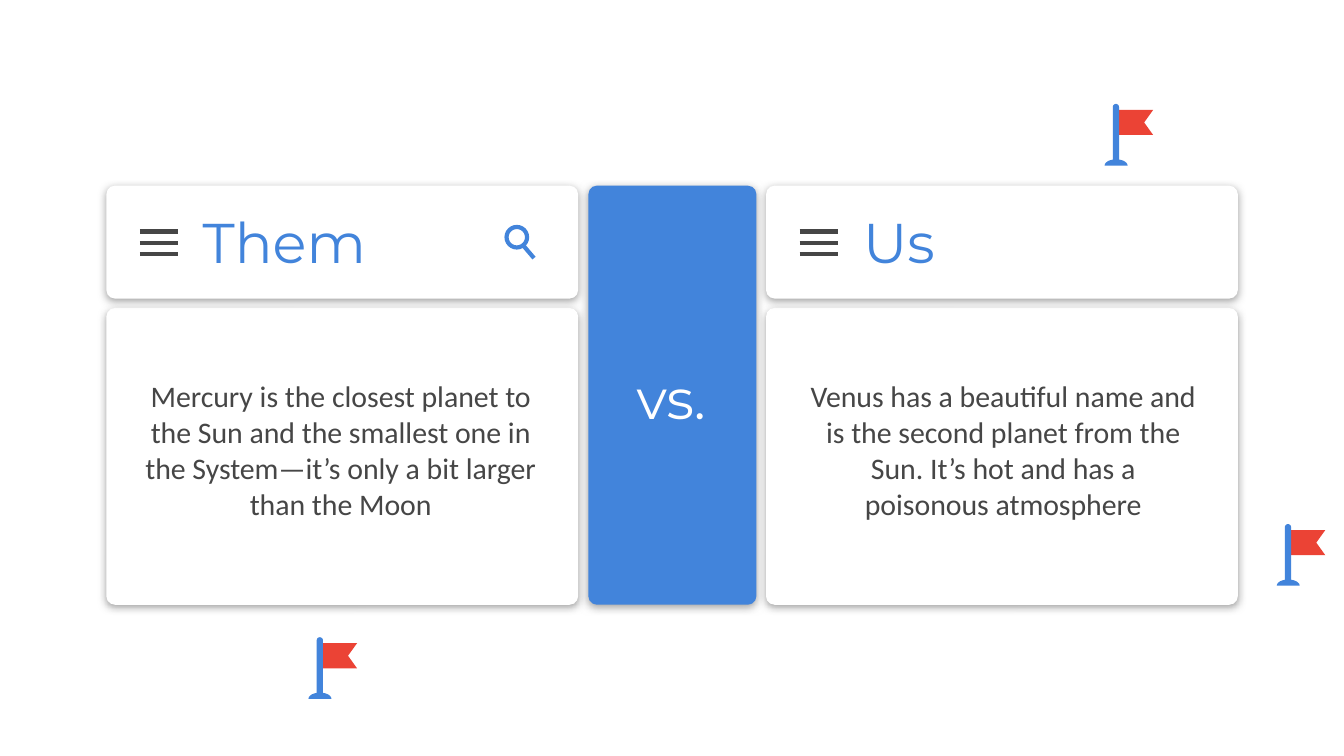
from math import cos, pi, sin

from lxml import etree
from pptx import Presentation
from pptx.dml.color import RGBColor
from pptx.enum.shapes import MSO_CONNECTOR as CONN, MSO_SHAPE as SHAPE
from pptx.enum.text import MSO_ANCHOR as ANCHOR, PP_ALIGN as ALIGN
from pptx.oxml import parse_xml
from pptx.oxml.ns import nsdecls, qn
from pptx.util import Pt

BLUE, RED, DARK, WHITE = "4284DB", "EB4335", "464646", "FFFFFF"
HEAD, BODY = "Montserrat", "Calibri"


def color(value):
    return RGBColor.from_string(value)


def dome(left, right, top, height):
    mid, half = (left + right) / 2, (right - left) / 2
    angles = [pi - pi * i / 12 for i in range(13)]
    return [(mid + half * cos(a), top + height * (1 - sin(a))) for a in angles]


class Canvas:
    line_width = 2.25
    corner = 5.7

    def __init__(self, slide):
        self.s = slide

    def card(self, x, y, w, h, fill=WHITE):
        sp = self.s.shapes.add_shape(SHAPE.ROUNDED_RECTANGLE, Pt(x), Pt(y), Pt(w), Pt(h))
        sp.adjustments[0] = 0.8 * self.corner / min(w, h)
        sp.fill.solid()
        sp.fill.fore_color.rgb = color(fill)
        sp.line.fill.background()
        sp._element.spPr.append(parse_xml(
            f'<a:effectLst {nsdecls("a")}>'
            f'<a:outerShdw blurRad="{Pt(4.5)}" dist="{Pt(1.5)}" dir="5400000" '
            f'algn="bl" rotWithShape="0"><a:srgbClr val="{DARK}">'
            '<a:alpha val="50000"/></a:srgbClr></a:outerShdw></a:effectLst>'))

    def ring(self, x, y, size, stroke):
        sp = self.s.shapes.add_shape(SHAPE.OVAL, Pt(x), Pt(y), Pt(size), Pt(size))
        sp.shadow.inherit = False
        sp.fill.background()
        sp.line.color.rgb = color(stroke)
        sp.line.width = Pt(self.line_width)

    def line(self, x1, y1, x2, y2, stroke):
        ln = self.s.shapes.add_connector(CONN.STRAIGHT, Pt(x1), Pt(y1), Pt(x2), Pt(y2))
        ln.line.color.rgb = color(stroke)
        ln.line.width = Pt(self.line_width)
        etree.SubElement(ln._element.spPr, qn("a:effectLst"))

    def text(self, x, y, w, h, words, size, font, fill, align=ALIGN.CENTER):
        tf = self.s.shapes.add_textbox(Pt(x), Pt(y), Pt(w), Pt(h)).text_frame
        tf.word_wrap = True
        tf.vertical_anchor = ANCHOR.TOP
        tf.margin_left = tf.margin_right = tf.margin_top = tf.margin_bottom = 0
        p = tf.paragraphs[0]
        p.alignment = align
        r = p.add_run()
        r.text = words
        r.font.size = Pt(size)
        r.font.name = font
        r.font.color.rgb = color(fill)

    def outline(self, x, y, points, fill):
        pts = [(Pt(x + dx), Pt(y + dy)) for dx, dy in points]
        builder = self.s.shapes.build_freeform(*pts[0], scale=1.0)
        builder.add_line_segments(pts[1:], close=True)
        sp = builder.convert_to_shape()
        sp.shadow.inherit = False
        sp.fill.solid()
        sp.fill.fore_color.rgb = color(fill)
        sp.line.fill.background()

    def flag(self, x, y):
        cloth = [(6.6, 3.2), (26, 3.2), (21.2, 9.9), (26, 16.6), (6.6, 16.6)]
        pole = dome(4.4, 7.7, 0, 1.7) + [(7.7, 30.4), (4.4, 30.4)]
        self.outline(x, y, cloth, RED)
        self.outline(x, y, pole, BLUE)
        self.outline(x, y, dome(0, 12.3, 29.7, 3.3), BLUE)

    def menu(self, x, y):
        for i in range(3):
            self.line(x, y + 6.1 * i, x + 20.3, y + 6.1 * i, DARK)

    def search(self, x, y):
        self.ring(x, y, 11, BLUE)
        self.line(x + 9, y + 10, x + 14.7, y + 16.7, BLUE)


def main():
    prs = Presentation()
    prs.slide_width, prs.slide_height = Pt(720), Pt(405)
    c = Canvas(prs.slides.add_slide(prs.slide_layouts[6]))

    top, bottom, card_w = 99.5, 324, 252.7
    head_h, body_top = 60.5, 165
    columns = [
        (57, 108.6, 77.1, "Them", "Mercury is the closest planet to the Sun and the smallest "
         "one in the System—it’s only a bit larger than the Moon"),
        (410.4, 462.4, 432, "Us", "Venus has a beautiful name and is the second planet from "
         "the Sun. It’s hot and has a poisonous atmosphere"),
    ]

    c.flag(684, 280.8)
    c.flag(165.3, 341.4)
    for left, title_x, body_x, title, body in columns:
        c.card(left, body_top, card_w, bottom - body_top)
        c.card(left, top, card_w, head_h)
        c.menu(left + 18, 124)
        c.text(title_x, 111, 161, 37.5, title, 30, HEAD, BLUE, ALIGN.LEFT)
        c.text(body_x, 202.5, 211, 78, body, 16, BODY, DARK)
    c.search(271.4, 121.6)
    c.card(315.2, top, 90, bottom - top, BLUE)
    c.text(317.5, 194.5, 84.2, 37.5, "vs.", 30, HEAD, WHITE)
    c.flag(591.8, 55.7)

    prs.save("out.pptx")


if __name__ == "__main__":
    main()
